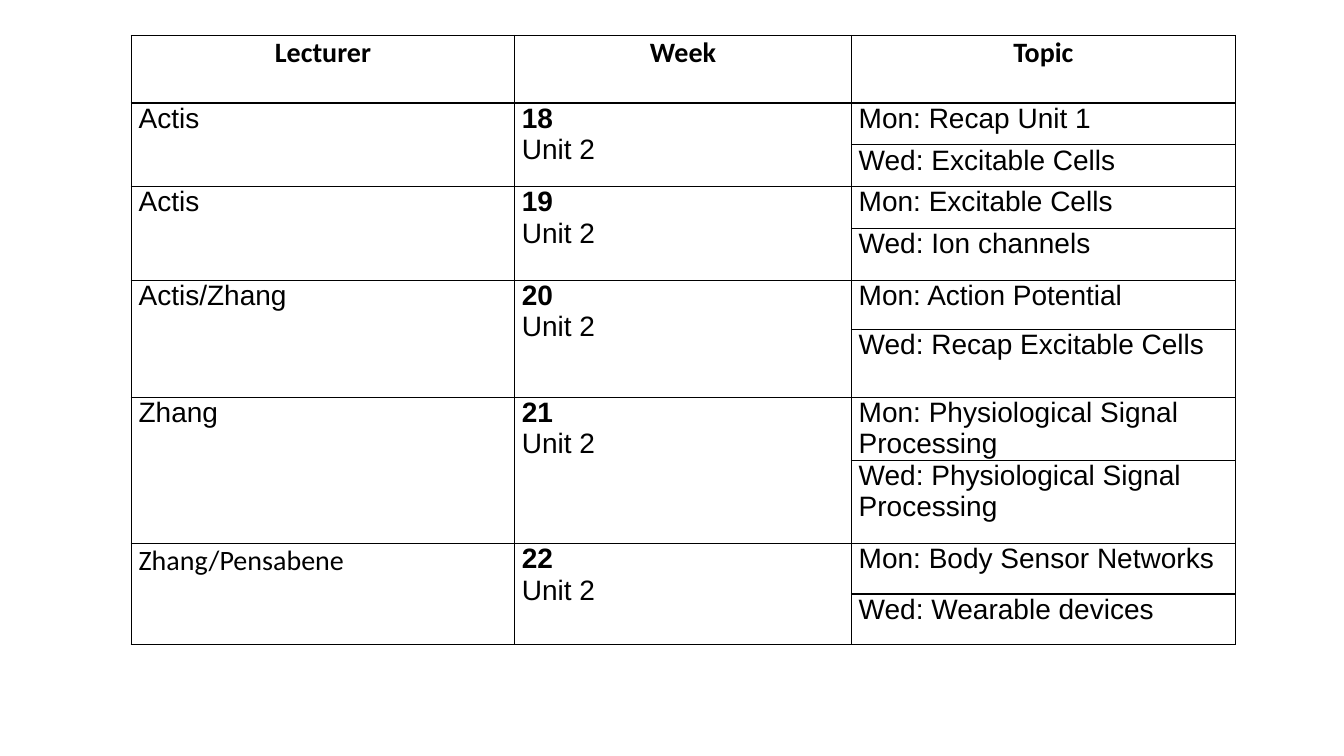
from dataclasses import dataclass

from lxml import etree
from pptx import Presentation
from pptx import util as u
from pptx.dml import color
from pptx.enum import text
from pptx.oxml import ns
from pptx.table import Table, _Cell


@dataclass(frozen=True)
class Theme:
    heading_font: str = "Calibri"
    body_font: str = "Arial"
    size: float = 20
    ink: str = "000000"
    border_width: float = 1
    side_margin: float = 5.2


@dataclass(frozen=True)
class Week:
    lecturer: str
    number: int
    monday: str
    wednesday: str
    heights: tuple[float, float]
    lecturer_font: str = "Arial"


THEME = Theme()
UNIT = "Unit 2"
HEADINGS = ("Lecturer", "Week", "Topic")
COLUMN_WIDTHS = (273.8, 240.6, 274.2)
HEADER_HEIGHT = 48.2
TABLE_LEFT, TABLE_TOP = 93.8, 25.4

WEEKS = (
    Week("Actis", 18, "Recap Unit 1", "Excitable Cells", (29.8, 29.8)),
    Week("Actis", 19, "Excitable Cells", "Ion channels", (29.8, 37.2)),
    Week("Actis/Zhang", 20, "Action Potential", "Recap Excitable Cells", (35, 48.6)),
    Week("Zhang", 21, "Physiological Signal Processing",
         "Physiological Signal Processing", (45, 59.6)),
    Week("Zhang/Pensabene", 22, "Body Sensor Networks", "Wearable devices",
         (36, 36), THEME.heading_font),
)


def style_cell(cell: _Cell) -> None:
    """Give a cell thin margins, black borders and no fill."""
    margins = {"margin_left": THEME.side_margin, "margin_right": THEME.side_margin,
               "margin_top": 0, "margin_bottom": 0}
    for name, value in margins.items():
        setattr(cell, name, u.Pt(value))
    properties = cell._tc.get_or_add_tcPr()
    for side in ("lnL", "lnR", "lnT", "lnB"):
        line = etree.SubElement(properties, ns.qn(f"a:{side}"),
                                w=str(u.Pt(THEME.border_width)))
        fill = etree.SubElement(line, ns.qn("a:solidFill"))
        etree.SubElement(fill, ns.qn("a:srgbClr"), val=THEME.ink)
    cell.fill.background()


def write_cell(cell: _Cell, *lines: str, font: str = THEME.body_font,
               bold_first: bool = False, centred: bool = False) -> None:
    """Write one paragraph per line."""
    cell.text_frame.text = "\n".join(lines)
    for index, paragraph in enumerate(cell.text_frame.paragraphs):
        paragraph.alignment = text.PP_ALIGN.CENTER if centred else text.PP_ALIGN.LEFT
        formats = {"name": font, "size": u.Pt(THEME.size),
                   "bold": bold_first and index == 0}
        for run in paragraph.runs:
            for name, value in formats.items():
                setattr(run.font, name, value)
            run.font.color.rgb = color.RGBColor.from_string(THEME.ink)


def fill_week(table: Table, row: int, week: Week) -> None:
    """Fill the two rows of a week, merging its lecturer and week cells."""
    for column in (0, 1):
        table.cell(row, column).merge(table.cell(row + 1, column))
    write_cell(table.cell(row, 0), week.lecturer, font=week.lecturer_font)
    write_cell(table.cell(row, 1), str(week.number), UNIT, bold_first=True)
    write_cell(table.cell(row, 2), f"Mon: {week.monday}")
    write_cell(table.cell(row + 1, 2), f"Wed: {week.wednesday}")


def main() -> None:
    presentation = Presentation()
    presentation.slide_width, presentation.slide_height = u.Pt(960), u.Pt(540)
    slide = presentation.slides.add_slide(presentation.slide_layouts[6])

    # Table grid
    heights = [HEADER_HEIGHT, *(height for week in WEEKS for height in week.heights)]
    table = slide.shapes.add_table(
        len(heights), len(COLUMN_WIDTHS), u.Pt(TABLE_LEFT), u.Pt(TABLE_TOP),
        u.Pt(sum(COLUMN_WIDTHS)), u.Pt(sum(heights))).table
    table.first_row = table.horz_banding = False
    for column, width in zip(table.columns, COLUMN_WIDTHS):
        column.width = u.Pt(width)
    for row, height in zip(table.rows, heights):
        row.height = u.Pt(height)
    for cell in table.iter_cells():
        style_cell(cell)

    # Header and weeks
    for column, heading in enumerate(HEADINGS):
        write_cell(table.cell(0, column), heading, font=THEME.heading_font,
                   bold_first=True, centred=True)
    for index, week in enumerate(WEEKS):
        fill_week(table, 1 + 2 * index, week)

    presentation.save("out.pptx")


if __name__ == "__main__":
    main()
